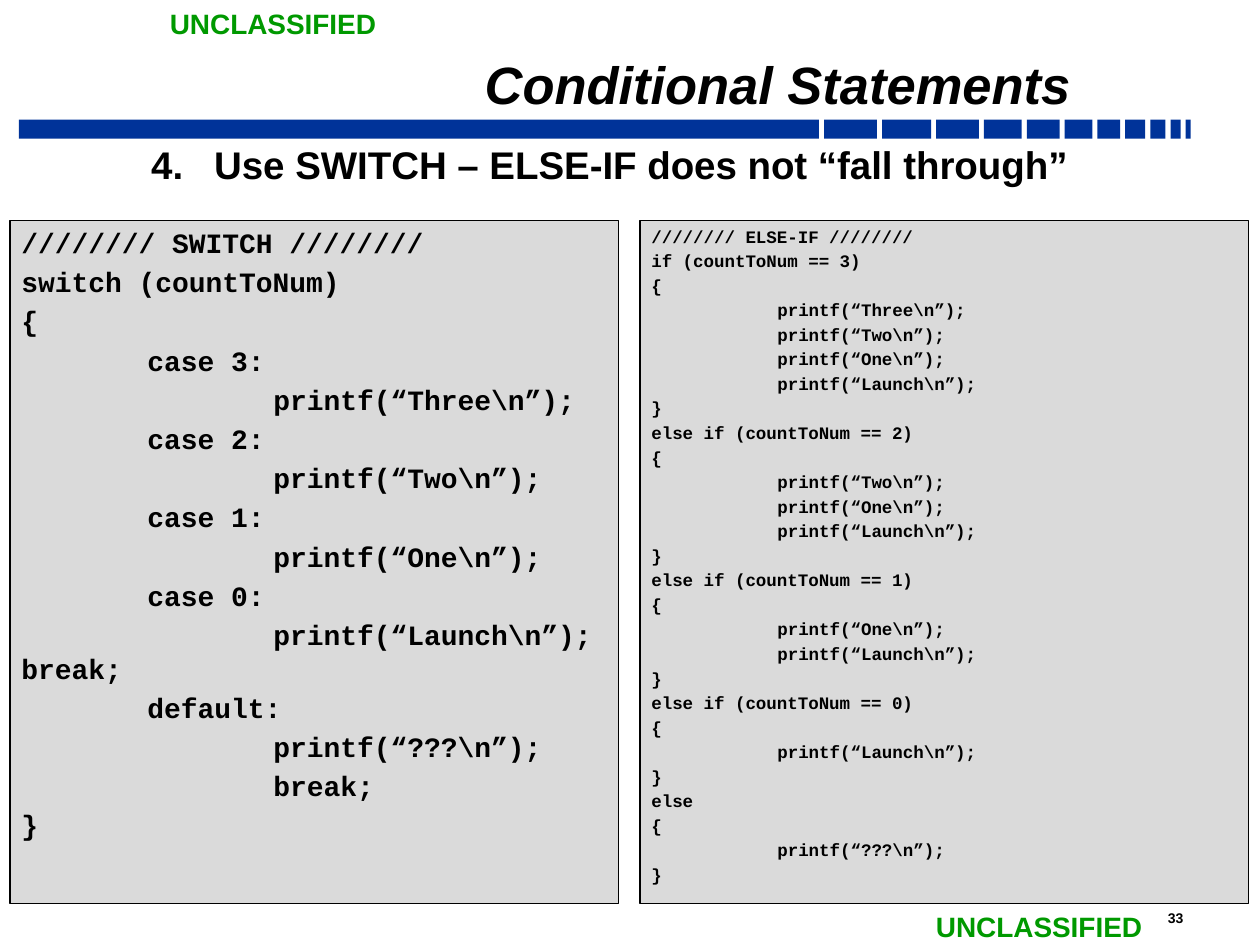
from lxml.etree import SubElement
from pptx import Presentation
from pptx.dml.color import RGBColor
from pptx.enum.shapes import MSO_SHAPE as Shape
from pptx.enum.text import MSO_ANCHOR as Anchor, PP_ALIGN as Align
from pptx.oxml.ns import qn
from pptx.util import Inches, Pt

BLACK, BLUE, GREEN, GRAY = "000000", "003399", "009900", "DADADA"
BAR_WIDTHS = [6.35, 0.42, 0.39, 0.34, 0.3, 0.26, 0.22, 0.18, 0.16, 0.12, 0.08, 0.04]
BAR_GAP = 0.04

SWITCH_CODE = r"""//////// SWITCH ////////
switch (countToNum)
{
	case 3:
		printf(“Three\n”);
	case 2:
		printf(“Two\n”);
	case 1:
		printf(“One\n”);
	case 0:
		printf(“Launch\n”);		break;
	default:
		printf(“???\n”);
		break;
}"""

ELSE_IF_CODE = r"""//////// ELSE-IF ////////
if (countToNum == 3)
{
	printf(“Three\n”);
	printf(“Two\n”);
	printf(“One\n”);
	printf(“Launch\n”);
}
else if (countToNum == 2)
{
	printf(“Two\n”);
	printf(“One\n”);
	printf(“Launch\n”);
}
else if (countToNum == 1)
{
	printf(“One\n”);
	printf(“Launch\n”);
}
else if (countToNum == 0)
{
	printf(“Launch\n”);
}
else
{
	printf(“???\n”);
}"""


def color(value):
    """Return the colour for a hex string."""
    return RGBColor.from_string(value)


def style(para, size, hue=BLACK, name="Arial", italic=False):
    """Set the bold font of a paragraph."""
    font = para.font
    font.name, font.size, font.bold, font.italic = name, Pt(size), True, italic
    font.color.rgb = color(hue)


def set_margins(frame, side, top, bottom):
    """Set the insets of a text frame in inches."""
    frame.margin_left = frame.margin_right = Inches(side)
    frame.margin_top, frame.margin_bottom = Inches(top), Inches(bottom)


def add_rect(page, box, fill):
    """Add a plain filled rectangle without a line."""
    rect = page.shapes.add_shape(Shape.RECTANGLE, *map(Inches, box))
    rect.shadow.inherit = False
    rect.fill.solid()
    rect.fill.fore_color.rgb = color(fill)
    rect.line.fill.background()
    return rect


def add_rule(page, left, top, height):
    """Add the row of bars that shrink towards the right."""
    for width in BAR_WIDTHS:
        add_rect(page, (left, top, width, height), BLUE)
        left += width + BAR_GAP


def add_label(page, box, text, size, hue, wrap):
    """Add a one-line label such as a marking or the page number."""
    frame = page.shapes.add_textbox(*map(Inches, box)).text_frame
    frame.word_wrap = wrap
    frame.text = text
    style(frame.paragraphs[0], size, hue)


def set_title(page, box, text):
    """Move and format the title placeholder."""
    title = page.shapes.title
    title.left, title.top, title.width, title.height = map(Inches, box)
    frame = title.text_frame
    frame.text = text
    frame.vertical_anchor = Anchor.BOTTOM
    set_margins(frame, 0.09, 0.04, 0.04)
    para = frame.paragraphs[0]
    para.alignment, para.line_spacing = Align.RIGHT, 0.7
    style(para, 30, italic=True)


def add_point(page, box, text, number):
    """Add one numbered point with a hanging indent."""
    frame = page.shapes.add_textbox(*map(Inches, box)).text_frame
    frame.word_wrap = True
    set_margins(frame, 0.09, 0.04, 0.04)
    frame.text = text
    para = frame.paragraphs[0]
    props = para._p.get_or_add_pPr()
    props.set("marL", str(Inches(1)))
    props.set("indent", str(Inches(-0.5)))
    SubElement(props, qn("a:buAutoNum"), type="arabicPeriod", startAt=str(number))
    style(para, 22)


def add_tab_stops(para):
    """Set a left tab stop at each inch of a code line."""
    stops = SubElement(para._p.get_or_add_pPr(), qn("a:tabLst"))
    for inch in range(1, 5):
        SubElement(stops, qn("a:tab"), pos=str(Inches(inch)), algn="l")


def add_code(page, box, code, size):
    """Add a framed panel with one paragraph for each line of code."""
    panel = add_rect(page, box, GRAY)
    panel.line.color.rgb, panel.line.width = color(BLACK), Pt(1)
    frame = panel.text_frame
    frame.word_wrap = True
    frame.vertical_anchor = Anchor.TOP
    set_margins(frame, 0.09, 0.04, 0.04)
    frame.text = code
    for index, para in enumerate(frame.paragraphs):
        para.alignment = Align.LEFT
        para.space_before = Pt(0.2 * size if index else 0)
        add_tab_stops(para)
        style(para, size, name="Courier New")


def main():
    """Build the deck and save it."""
    deck = Presentation()
    deck.slide_width, deck.slide_height = Inches(10), Inches(7.5)
    page = deck.slides.add_slide(deck.slide_layouts[5])
    add_rule(page, 0.15, 0.95, 0.15)
    add_label(page, (9.17, 7.17, 0.54, 0.23), "33", 8, BLACK, True)
    for left, top in ((1.25, 0), (7.33, 7.17)):
        add_label(page, (left, top, 1.86, 0.37), "UNCLASSIFIED", 16, GREEN, False)
    set_title(page, (1.67, 0.35, 6.92, 0.59), "Conditional Statements")
    add_point(page, (0.61, 1.08, 9.07, 0.5),
              "Use SWITCH – ELSE-IF does not “fall through”", 4)
    for left, code, size in ((0.08, SWITCH_CODE, 16), (5.08, ELSE_IF_CODE, 10)):
        add_code(page, (left, 1.75, 4.83, 5.42), code, size)
    deck.save("out.pptx")


if __name__ == "__main__":
    main()
